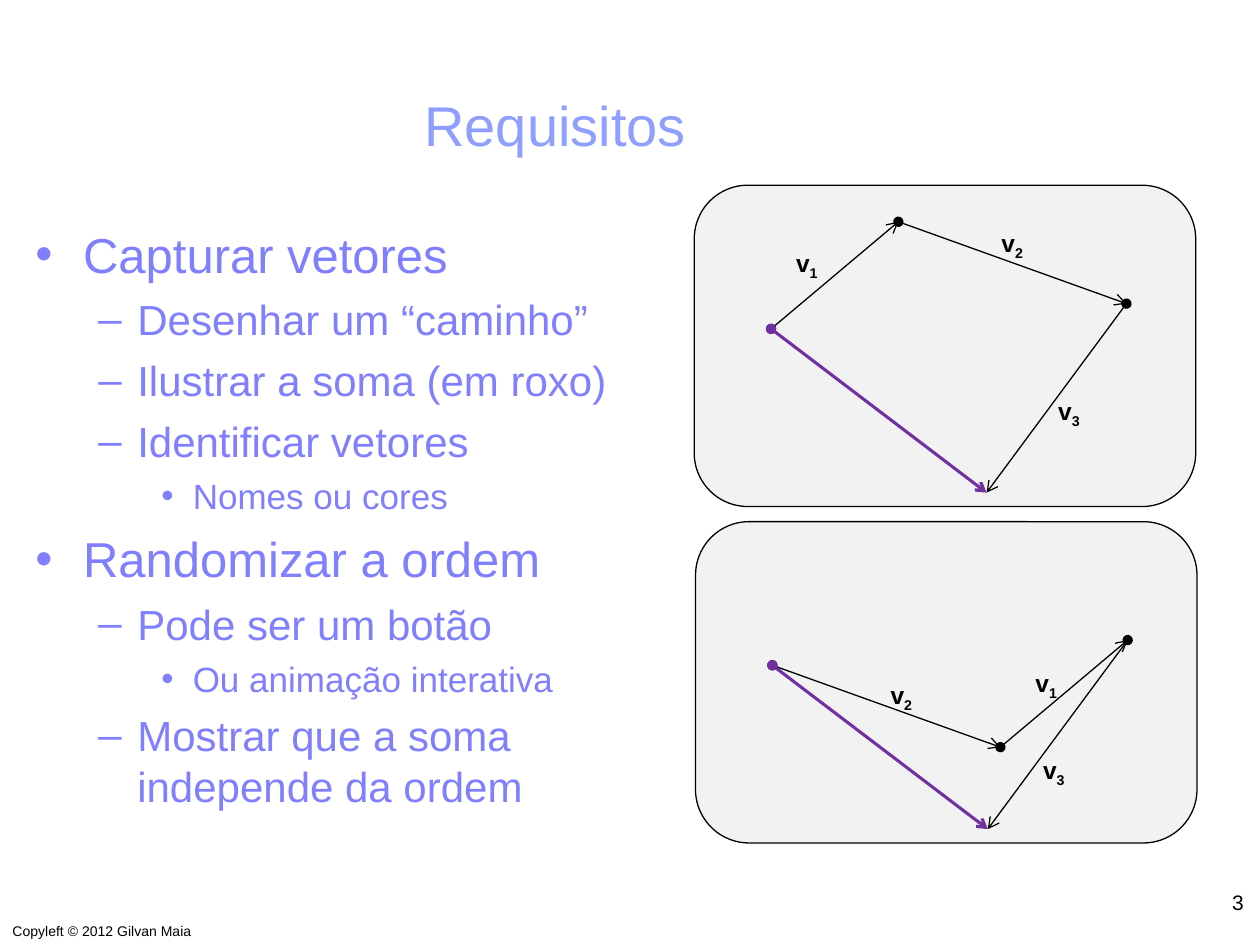
from lxml import etree
from pptx import Presentation
from pptx import util as u
from pptx.dml.color import RGBColor
from pptx.enum import shapes, text
from pptx.oxml import ns

PX = 9144  # EMU per px, 100 px to the inch
FONT = "Arial"
BLACK = RGBColor(0x00, 0x00, 0x00)
TITLE = RGBColor(0x8F, 0x9F, 0xFF)
BODY = RGBColor(0x80, 0x80, 0xFF)
PANEL = RGBColor(0xF2, 0xF2, 0xF2)
PURPLE = RGBColor(0x70, 0x30, 0xA0)

# Outline level: size pt, space before pt, left margin px, hanging px, bullet
LEVELS = [(28, 7, 38, 38, "•"), (24, 6, 81, 31, "–"), (20, 5, 125, 25, "•")]
OUTLINE = [
    (0, "Capturar vetores"),
    (1, "Desenhar um “caminho”"),
    (1, "Ilustrar a soma (em roxo)"),
    (1, "Identificar vetores"),
    (2, "Nomes ou cores"),
    (0, "Randomizar a ordem"),
    (1, "Pode ser um botão"),
    (2, "Ou animação interativa"),
    (1, "Mostrar que a soma independe da ordem"),
]
VECTORS = {1: (101, -85), 2: (181, 65), 3: (-111, 150)}


def emu(*lengths):
    return [u.Emu(n * PX) for n in lengths]


def sub(parent, tag, **attrs):
    return etree.SubElement(parent, ns.qn(tag), attrs)


def style(r, size, color, bold=False):
    r.font.name, r.font.size, r.font.bold = FONT, u.Pt(size), bold
    r.font.color.rgb = color


def add_text(s, box, content, size, color, align=text.PP_ALIGN.LEFT,
             anchor=text.MSO_ANCHOR.TOP):
    tf = s.shapes.add_textbox(*emu(*box)).text_frame
    tf.word_wrap = True
    tf.vertical_anchor = anchor
    tf.text = content
    for p in tf.paragraphs:
        p.alignment = align
        for r in p.runs:
            style(r, size, color)
    return tf


def add_outline(s, box):
    tf = add_text(s, box, "\n".join(t for _, t in OUTLINE), 24, BODY)
    tf.margin_left, tf.margin_top = emu(8, 8)
    for p, (level, _) in zip(tf.paragraphs, OUTLINE):
        size, before, margin, hang, bullet = LEVELS[level]
        p.level = level
        p.space_before = u.Pt(before)
        p.runs[0].font.size = u.Pt(size)
        pPr = p._p.get_or_add_pPr()
        pPr.set("marL", str(margin * PX))
        pPr.set("indent", str(-hang * PX))
        sub(sub(pPr, "a:buClr"), "a:srgbClr", val=str(BODY))
        sub(pPr, "a:buFont", typeface=FONT)
        sub(pPr, "a:buChar", char=bullet)


def add_arrow(s, start, end, color=BLACK, width=0.75):
    c = s.shapes.add_connector(shapes.MSO_CONNECTOR.STRAIGHT, *emu(*start, *end))
    c.line.color.rgb = color
    c.line.width = u.Pt(width)
    ln = c.line._get_or_add_ln()
    sub(ln, "a:headEnd", type="oval")
    sub(ln, "a:tailEnd", type="arrow")
    sub(c._element.spPr, "a:effectLst")


def add_label(s, left, top, number):
    p = add_text(s, (left, top, 53, 37), "v", 14, BLACK).paragraphs[0]
    p.add_run().text = str(number)
    for r in p.runs:
        style(r, 14, BLACK, bold=True)
    p.runs[1].font._element.set("baseline", "-25000")


def add_vector_panel(s, box, order, labels):
    """Chain the vectors in the given order and draw their sum."""
    left, top = box[:2]
    sp = s.shapes.add_shape(shapes.MSO_SHAPE.ROUNDED_RECTANGLE, *emu(*box))
    sp.shadow.inherit = False
    sp.fill.solid()
    sp.fill.fore_color.rgb = PANEL
    sp.line.color.rgb = BLACK
    sp.line.width = u.Pt(0.75)

    origin = point = (left + 61, top + 114)
    for number in order:
        dx, dy = VECTORS[number]
        tip = (point[0] + dx, point[1] + dy)
        add_arrow(s, point, tip)
        point = tip
    add_arrow(s, origin, point, PURPLE, 1.75)

    for number, (x, y) in labels.items():
        add_label(s, left + x, top + y, number)


def main():
    prs = Presentation()
    prs.slide_width, prs.slide_height = emu(1000, 750)
    s = prs.slides.add_slide(prs.slide_layouts[6])

    # Footer, title, outline and slide number
    add_text(s, (0, 727, 555, 24), "Copyleft © 2012 Gilvan Maia", 8, BLACK)
    add_text(s, (327, 44, 623, 109), "Requisitos", 32, TITLE,
             anchor=text.MSO_ANCHOR.MIDDLE)
    add_outline(s, (20, 170, 521, 495))
    add_text(s, (734, 701, 263, 45), "3", 12, BLACK, text.PP_ALIGN.RIGHT)

    # The same vectors summed in two orders
    add_vector_panel(s, (551, 147, 398, 255), (1, 2, 3),
                     {1: (71, 45), 2: (234, 29), 3: (279, 162)})
    add_vector_panel(s, (552, 414, 398, 255), (2, 1, 3),
                     {1: (260, 111), 2: (145, 121), 3: (266, 180)})

    prs.save("out.pptx")


if __name__ == "__main__":
    main()
